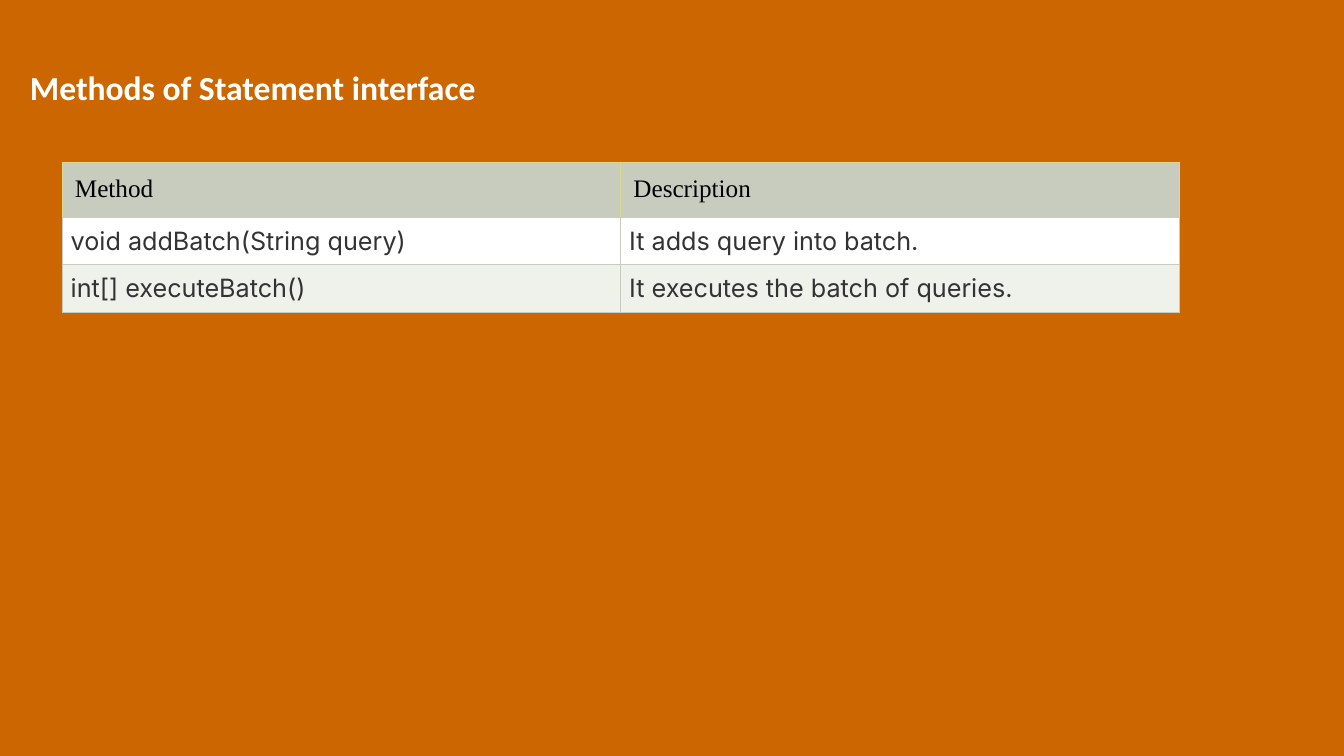
"""Build the slide that lists the batch methods of the Statement interface."""
from dataclasses import dataclass

from lxml import etree
from pptx import Presentation
from pptx.dml.color import RGBColor
from pptx.enum.text import MSO_ANCHOR, MSO_AUTO_SIZE, PP_ALIGN
from pptx.oxml.ns import qn
from pptx.util import Pt

TOP = MSO_ANCHOR.TOP
NO_AUTOSIZE = MSO_AUTO_SIZE.NONE
LEFT, JUSTIFY = PP_ALIGN.LEFT, PP_ALIGN.JUSTIFY
TITLE_ONLY = 5
SIDES = ("L", "R", "T", "B")
MARGINS = ("margin_left", "margin_right", "margin_top", "margin_bottom")
COLORS = {
    "background": "CC6600",
    "title": "FFFFFF",
    "header": "C7CCBE",
    "header_border": "D8D890",
    "border": "C7CCBE",
    "header_text": "000000",
    "body_text": "333333",
    "plain_row": "FFFFFF",
    "shaded_row": "EFF1EB",
}


@dataclass(frozen=True)
class TextStyle:
    """Font and alignment of a text."""

    font: str
    size: float
    color: str
    align: PP_ALIGN
    bold: bool = False


@dataclass(frozen=True)
class MethodRow:
    """One table row with its look."""

    texts: tuple[str, str]
    height: float
    margin: float
    fill: str
    style: TextStyle
    borders: tuple[str, str, str, str] = ("border",) * 4


TITLE_STYLE = TextStyle("Calibri", 24, "title", JUSTIFY, True)
HEADER_STYLE = TextStyle("Times New Roman", 18, "header_text", LEFT)
BODY_STYLE = TextStyle("Inter", 18, "body_text", JUSTIFY)
ROWS = (
    MethodRow(("Method", "Description"), 39.2, 9, "header", HEADER_STYLE,
              ("header_border", "header_border", "header_border", "border")),
    MethodRow(("void addBatch(String query)", "It adds query into batch."),
              33.5, 6, "plain_row", BODY_STYLE),
    MethodRow(("int[] executeBatch()", "It executes the batch of queries."),
              33.5, 6, "shaded_row", BODY_STYLE),
)


def rgb(name: str) -> RGBColor:
    """Return the named colour."""
    return RGBColor.from_string(COLORS[name])


def apply(target: object, values: dict) -> None:
    """Set each attribute of the target from the values."""
    for name, value in values.items():
        setattr(target, name, value)


def write_text(frame, text: str, style: TextStyle) -> None:
    """Write one styled paragraph into a text frame."""
    para = frame.paragraphs[0]
    para.alignment = style.align
    span = para.add_run()
    span.text = text
    apply(span.font, {"name": style.font, "size": Pt(style.size), "bold": style.bold})
    span.font.color.rgb = rgb(style.color)


def add_borders(cell, colors: tuple[str, str, str, str]) -> None:
    """Draw the four cell borders ahead of the cell fill."""
    properties = cell._tc.get_or_add_tcPr()
    for index, (side, color) in enumerate(zip(SIDES, colors)):
        line = etree.Element(qn(f"a:ln{side}"), w=str(Pt(0.75)))
        fill = etree.SubElement(line, qn("a:solidFill"))
        etree.SubElement(fill, qn("a:srgbClr"), val=COLORS[color])
        properties.insert(index, line)


def add_title(page, text: str) -> None:
    """Move and fill the title placeholder."""
    box = page.shapes.title
    apply(box, {"left": Pt(14.2), "top": Pt(44), "width": Pt(336), "height": Pt(36)})
    apply(box.text_frame, {"word_wrap": False, "auto_size": NO_AUTOSIZE,
                           "vertical_anchor": TOP})
    write_text(box.text_frame, text, TITLE_STYLE)
    box.text_frame.paragraphs[0].line_spacing = 1.0


def add_method_table(page, rows: tuple[MethodRow, ...]) -> None:
    """Add the table of methods and descriptions."""
    height = sum(row.height for row in rows)
    table = page.shapes.add_table(len(rows), 2, Pt(44.5), Pt(116.3),
                                  Pt(798), Pt(height)).table
    apply(table, {"first_row": False, "horz_banding": False})
    for index, row in enumerate(rows):
        table.rows[index].height = Pt(row.height)
        for cell, text in zip(table.rows[index].cells, row.texts):
            apply(cell, dict.fromkeys(MARGINS, Pt(row.margin)))
            cell.fill.solid()
            cell.fill.fore_color.rgb = rgb(row.fill)
            add_borders(cell, row.borders)
            write_text(cell.text_frame, text, row.style)


def main() -> None:
    """Build and save the deck."""
    deck = Presentation()
    apply(deck, {"slide_width": Pt(960), "slide_height": Pt(540)})
    page = deck.slides.add_slide(deck.slide_layouts[TITLE_ONLY])
    page.background.fill.solid()
    page.background.fill.fore_color.rgb = rgb("background")
    add_method_table(page, ROWS)
    add_title(page, "Methods of Statement interface")
    deck.save("out.pptx")


main()
